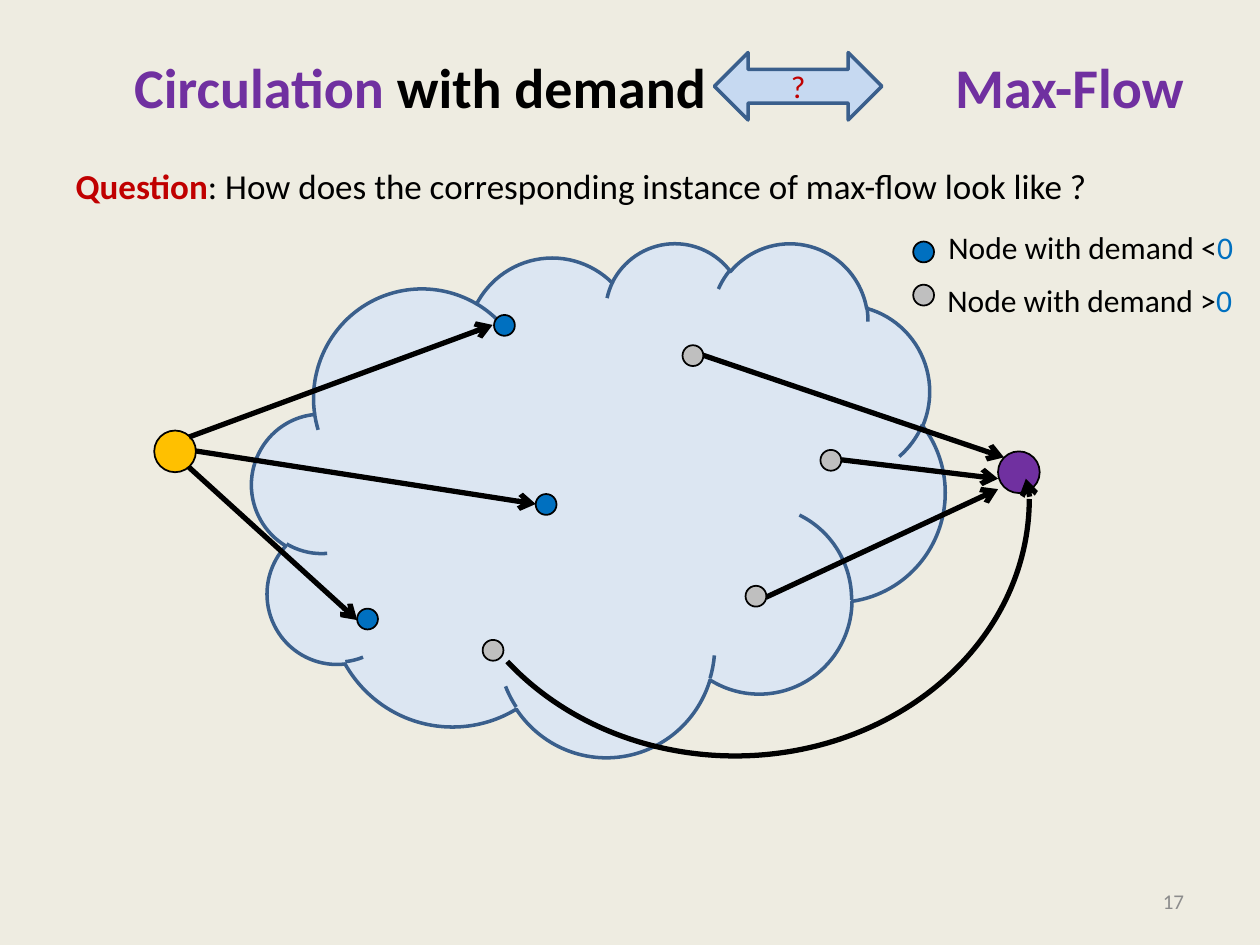
from lxml.etree import SubElement
from pptx import Presentation
from pptx.dml.color import RGBColor
from pptx.enum.shapes import MSO_CONNECTOR as Link, MSO_SHAPE as Kind
from pptx.enum.text import MSO_ANCHOR as Anchor, PP_ALIGN as Align
from pptx.oxml.ns import qn
from pptx.util import Cm, Pt

CREAM = RGBColor(0xEE, 0xEC, 0xE1)
BLACK = RGBColor(0x00, 0x00, 0x00)
PURPLE = RGBColor(0x70, 0x30, 0xA0)
RED = RGBColor(0xC0, 0x00, 0x00)
BLUE = RGBColor(0x00, 0x70, 0xC0)
GOLD = RGBColor(0xFF, 0xC0, 0x00)
SILVER = RGBColor(0xBF, 0xBF, 0xBF)
GRAY = RGBColor(0x8C, 0x8C, 0x8C)
PALE = RGBColor(0xDC, 0xE6, 0xF2)
SKY = RGBColor(0xC6, 0xD9, 0xF1)
STEEL = RGBColor(0x3A, 0x5F, 0x8C)

DOT, HUB = 0.42, 0.84  # node diameters in cm


class Board:
    font = "Calibri"

    def __init__(self, slide):
        self.slide = slide
        self.shapes = slide.shapes

    def fill_text(self, frame, parts, size, bold=False, align=Align.LEFT):
        """Fill the first paragraph with (text, colour) parts."""
        para = frame.paragraphs[0]
        para.alignment = align
        para.space_before = Pt(0)
        for text, color in parts:
            run = para.add_run()
            run.text = text
            font = run.font
            font.name, font.size, font.bold = self.font, Pt(size), bold
            font.color.rgb = color
        return para

    def place(self, holder, x, y, w, h):
        holder.left, holder.top = Cm(x), Cm(y)
        holder.width, holder.height = Cm(w), Cm(h)
        return holder.text_frame

    def label(self, x, y, w, h, parts, size, align=Align.LEFT, wrap=False):
        frame = self.shapes.add_textbox(Cm(x), Cm(y), Cm(w), Cm(h)).text_frame
        frame.word_wrap = wrap
        frame.vertical_anchor = Anchor.MIDDLE
        self.fill_text(frame, parts, size, align=align)

    def shape(self, kind, x, y, w, h, fill, line, width):
        item = self.shapes.add_shape(kind, Cm(x), Cm(y), Cm(w), Cm(h))
        item.shadow.inherit = False
        if fill is None:
            item.fill.background()
        else:
            item.fill.solid()
            item.fill.fore_color.rgb = fill
        item.line.color.rgb = line
        item.line.width = Pt(width)
        return item

    def node(self, x, y, fill, size=DOT):
        self.shape(Kind.OVAL, x, y, size, size, fill, BLACK, 1)

    def arrow(self, x1, y1, x2, y2):
        edge = self.shapes.add_connector(
            Link.STRAIGHT, Cm(x1), Cm(y1), Cm(x2), Cm(y2))
        edge.line.color.rgb = BLACK
        edge.line.width = Pt(3)
        props = edge._element.spPr
        SubElement(props.find(qn("a:ln")), qn("a:tailEnd"), type="arrow")
        SubElement(props, qn("a:effectLst"))


def main():
    deck = Presentation()
    deck.slide_width, deck.slide_height = Cm(25.4), Cm(19.05)
    slide = deck.slides.add_slide(deck.slide_layouts[1])
    slide.background.fill.solid()
    slide.background.fill.fore_color.rgb = CREAM
    board = Board(slide)

    # Title: a tab stop leaves room for the double arrow
    frame = board.place(slide.shapes.title, 1.27, 0.76, 22.86, 3.18)
    frame.vertical_anchor = Anchor.MIDDLE
    frame.margin_bottom = Cm(1.35)
    props = frame.paragraphs[0]._p.get_or_add_pPr()
    props.set("marL", str(Cm(1.18)))
    tabs = SubElement(props, qn("a:tabLst"))
    SubElement(tabs, qn("a:tab"), pos=str(Cm(16.55)), algn="l")
    board.fill_text(frame, [("Circulation", PURPLE), (" with demand\t", BLACK),
                            ("Max-Flow", PURPLE)], 32, bold=True)

    # Question
    frame = board.place(slide.placeholders[1], 1.27, 3.18, 22.86, 14.6)
    props = frame.paragraphs[0]._p.get_or_add_pPr()
    props.set("marL", "0")
    props.set("indent", "0")
    SubElement(props, qn("a:buNone"))
    para = board.fill_text(frame, [
        ("Question", RED),
        (": How does the corresponding instance of max-flow look like ?",
         BLACK)], 20)
    para.runs[0].font.bold = True

    # Slide number
    board.label(18.2, 17.65, 5.92, 1.02, [("17", GRAY)], 12,
                Align.RIGHT, wrap=True)

    # Network with its source and sink
    board.shape(Kind.CLOUD, 5.08, 4.88, 13.97, 10.36, PALE, STEEL, 2)
    for x, y in [(10.8, 9.96), (9.96, 6.35), (7.2, 12.27)]:
        board.node(x, y, BLUE)
    board.node(3.11, 8.68, GOLD, HUB)
    board.node(20.12, 9.1, PURPLE, HUB)

    # Edges out of the source, then into the sink
    for ends in [(3.81, 8.81, 9.93, 6.55), (3.94, 9.09, 10.8, 10.16),
                 (3.81, 9.42, 7.2, 12.5), (14.17, 7.16, 20.24, 9.22),
                 (16.97, 9.27, 20.12, 9.65), (15.44, 12.04, 20.12, 9.86),
                 (20.75, 9.98, 20.68, 9.65)]:
        board.arrow(*ends)
    arc = board.shape(Kind.ARC, 8.89, 4.88, 11.86, 10.36, None, BLACK, 3)
    arc.adjustments[0] = 0
    arc.adjustments[1] = 144.5 * 0.6  # degrees to adjustment units

    for x, y in [(9.73, 12.9), (13.76, 6.96), (16.54, 9.07), (15.03, 11.81)]:
        board.node(x, y, SILVER)

    # Legend
    for sign, color, dot, x, top in [(">", SILVER, 5.74, 18.85, 5.54),
                                     ("<", BLUE, 4.87, 18.87, 4.47)]:
        board.node(18.41, dot, color)
        board.label(x, top, 6.32, 1.02,
                    [("Node with demand " + sign, BLACK), ("0", BLUE)], 18)

    # Double arrow in the title
    both = board.shape(Kind.LEFT_RIGHT_ARROW, 14.4, 1.06, 3.38, 1.36,
                       SKY, STEEL, 2)
    both.text_frame.vertical_anchor = Anchor.MIDDLE
    board.fill_text(both.text_frame, [("?", RED)], 18, align=Align.CENTER)

    deck.save("out.pptx")


if __name__ == "__main__":
    main()
